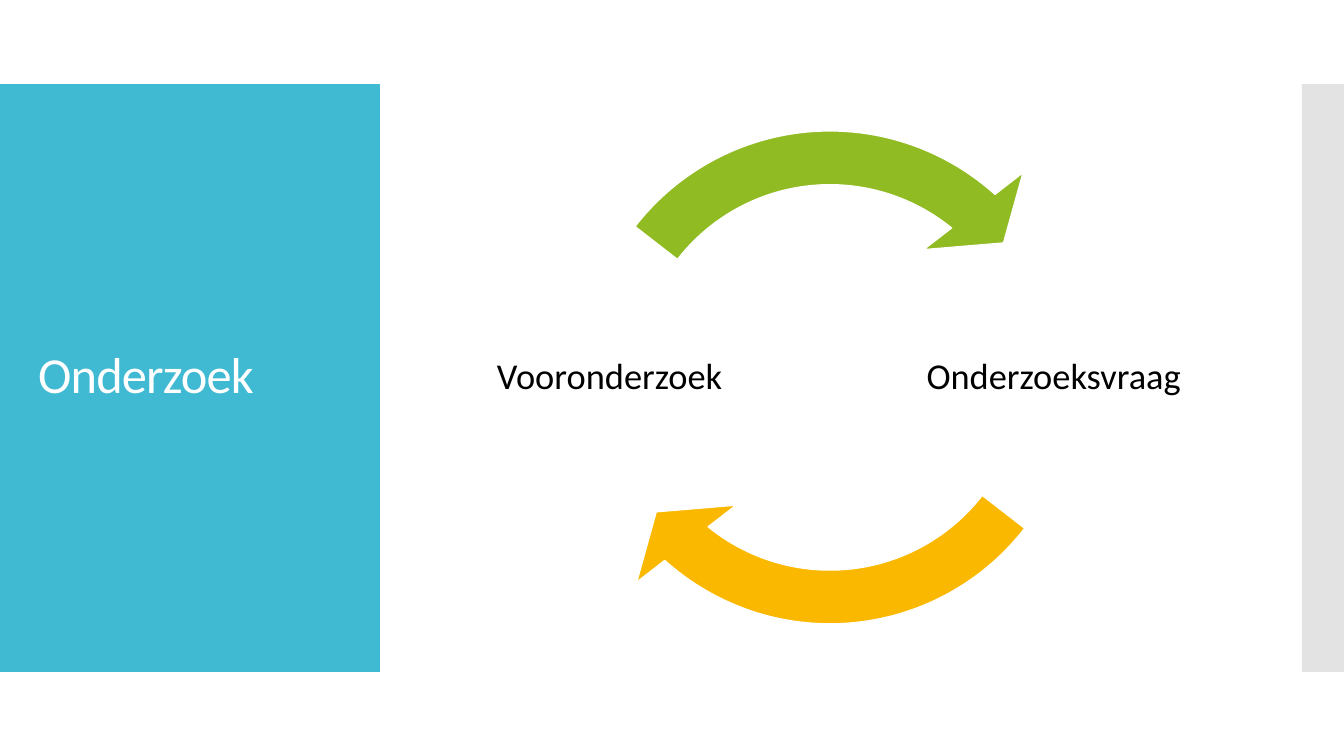
from pptx import Presentation
from pptx import util as u
from pptx.dml.color import RGBColor
from pptx.enum import shapes, text
from pptx.oxml.ns import qn
from lxml import etree

COLORS = {"white": "FFFFFF", "black": "000000", "panel": "40BAD2",
          "edge": "C8C8C8", "green": "90BB23", "amber": "FAB900"}


class Deck:
    """Holds the style and the current slide; all lengths are in points."""
    font = "Calibri"

    def __init__(self, width, height):
        self.prs = Presentation()
        self.prs.slide_width, self.prs.slide_height = u.Pt(width), u.Pt(height)
        self.s = self.prs.slides.add_slide(self.prs.slide_layouts[5])

    def color(self, name):
        return RGBColor.from_string(COLORS[name])

    def set_text(self, sp, words, size, color, align, inset):
        tf = sp.text_frame
        tf.word_wrap = True
        tf.auto_size = text.MSO_AUTO_SIZE.NONE
        tf.vertical_anchor = text.MSO_ANCHOR.MIDDLE
        tf.margin_left = tf.margin_right = u.Pt(inset[0])
        tf.margin_top = tf.margin_bottom = u.Pt(inset[1])
        p = tf.paragraphs[0]
        p.text = words
        p.alignment, p.line_spacing = align, 0.9
        p.font.name, p.font.size = self.font, u.Pt(size)
        p.font.color.rgb = self.color(color)
        return p

    def shape(self, kind, box, fill, alpha=None):
        sp = self.s.shapes.add_shape(kind, *map(u.Pt, box))
        sp.shadow.inherit = False
        sp.fill.solid()
        sp.fill.fore_color.rgb = self.color(fill)
        sp.line.fill.background()
        if alpha:
            clr = sp._element.spPr.find(qn("a:solidFill"))[0]
            etree.SubElement(clr, qn("a:alpha")).set("val", str(alpha * 1000))
        return sp

    def title(self, words, box):
        sp = self.s.shapes.title
        sp.left, sp.top, sp.width, sp.height = map(u.Pt, box)
        self.s.shapes._spTree.append(sp._element)  # in front of the panel
        p = self.set_text(sp, words, 36, "white", text.PP_ALIGN.LEFT, (7.2, 3.6))
        p._p.pPr.find(qn("a:defRPr")).set("spc", "-60")

    def label(self, words, box):
        sp = self.s.shapes.add_textbox(*map(u.Pt, box))
        self.set_text(sp, words, 26, "black", text.PP_ALIGN.CENTER, (2.6, 2.6))

    def cycle_arrow(self, box, fill, end, start):
        sp = self.shape(shapes.MSO_SHAPE.CIRCULAR_ARROW, box, fill)
        sp.line.color.rgb = self.color("white")
        sp.line.width = u.Pt(0.85)
        for i, value in enumerate((0.095, 6.854, end, start, 0.111)):
            sp.adjustments[i] = value


def main():
    deck = Deck(960, 540)

    # Side panel, right edge and title
    rect = shapes.MSO_SHAPE.RECTANGLE
    deck.shape(rect, (0, 60, 271.3, 420), "panel")
    deck.shape(rect, (930, 60, 30, 420), "edge", alpha=50)
    deck.title("Onderzoek", (20, 88.7, 232, 362))

    # Cycle: two labels and two arrows half a turn apart
    for words, left in (("Onderzoeksvraag", 654.5), (" Vooronderzoek", 334.3)):
        deck.label(words, (left, 171.4, 196.6, 196.6))
    half_turn = 108
    for i, fill in enumerate(("amber", "green")):
        turn = i * half_turn
        deck.cycle_arrow((391.2, 68, 403.2, 403.2), fill,
                         78.484 + turn, 22.662 + turn)

    deck.prs.save("out.pptx")


if __name__ == "__main__":
    main()
